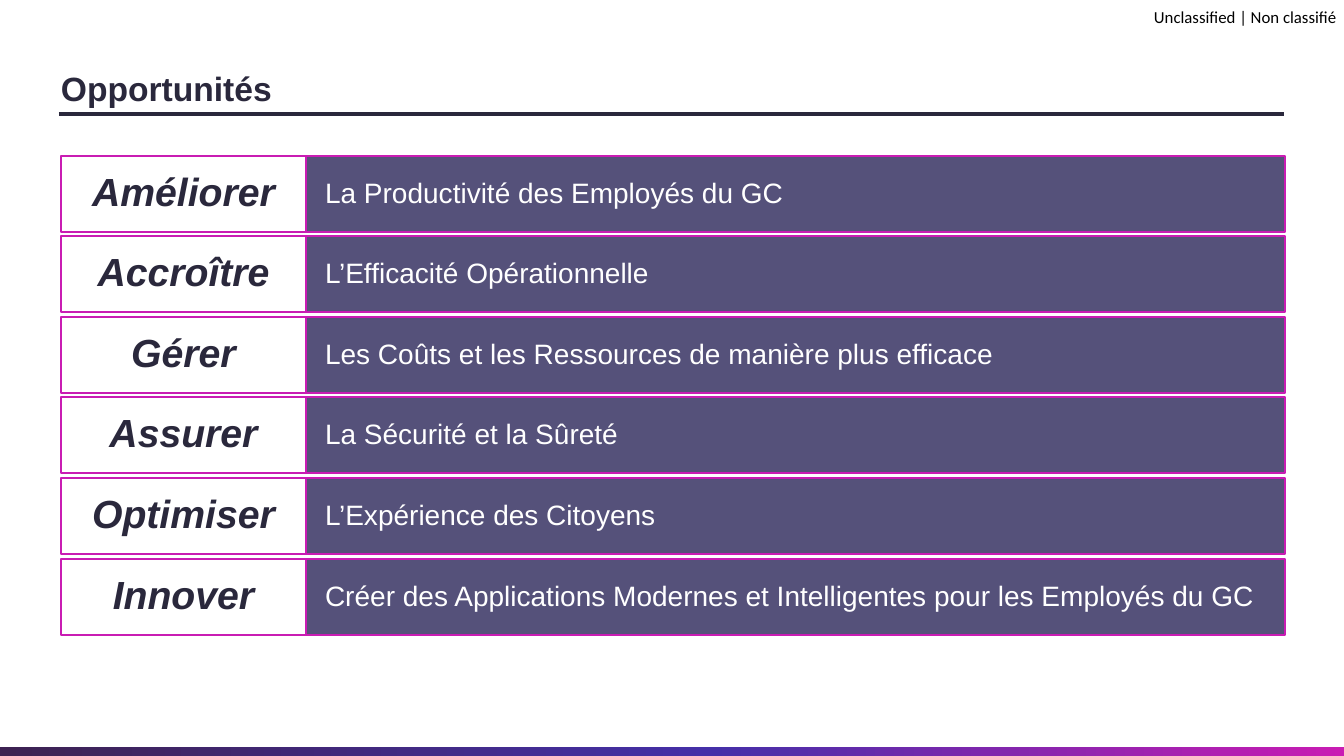
"""Build the "Opportunités" slide: six verbs, each paired with its objective."""
import copy

from lxml import etree
from pptx import Presentation, util as u
from pptx.dml.color import RGBColor
from pptx.enum import shapes, text

SCALE = 914400 / 100.8
COLORS = {"ink": "2A283C", "slate": "55517A", "pink": "C91CB3", "plum": "3D2252",
          "indigo": "4530A8", "white": "FFFFFF", "black": "000000"}
HEADER = {"name": "Calibri", "size": u.Pt(12)}
TITLE = {"name": "Arial", "size": u.Pt(24), "bold": True}
VERB = {"name": "Arial", "size": u.Pt(28), "bold": True, "italic": True}
GOAL = {"name": "Arial", "size": u.Pt(20)}
ROWS = [
    ("Améliorer", "La Productivité des Employés du GC"),
    ("Accroître", "L’Efficacité Opérationnelle"),
    ("Gérer", "Les Coûts et les Ressources de manière plus efficace"),
    ("Assurer", "La Sécurité et la Sûreté"),
    ("Optimiser", "L’Expérience des Citoyens"),
    ("Innover", "Créer des Applications Modernes et Intelligentes pour les Employés du GC"),
]


def px(*values):
    return [u.Emu(round(v * SCALE)) for v in values]


def write(sp, words, fmt, color, inset=(0, 0), spacing=1.0, wrap=True,
          anchor=text.MSO_ANCHOR.MIDDLE, align=text.PP_ALIGN.LEFT):
    tf = sp.text_frame
    tf.word_wrap, tf.vertical_anchor = wrap, anchor
    tf.margin_left, tf.margin_top = tf.margin_right, tf.margin_bottom = px(*inset)
    p = tf.paragraphs[0]
    p.alignment, p.line_spacing = align, spacing
    r = p.add_run()
    r.text = words
    for key, value in fmt.items():
        setattr(r.font, key, value)
    r.font.color.rgb = RGBColor.from_string(COLORS[color])


prs = Presentation()
prs.slide_width, prs.slide_height = px(1344, 756)
s = prs.slides.add_slide(prs.slide_layouts[6])

bar = s.shapes.add_shape(shapes.MSO_SHAPE.RECTANGLE, *px(-1, 747, 1346, 9))
bar.shadow.inherit = False
bar.line.fill.background()
bar.fill.gradient()
bar.fill.gradient_angle = 0
gs = bar.fill._xPr.find(".//{*}gs")
gs.addnext(copy.deepcopy(gs))
for stop, (pos, color) in zip(bar.fill.gradient_stops,
                              [(0, "plum"), (0.53, "indigo"), (1, "pink")]):
    stop.position = pos
    stop.color.rgb = RGBColor.from_string(COLORS[color])

header = s.shapes.add_textbox(*px(1154, 7, 187, 20))
write(header, "Unclassified | Non classifié", HEADER, "black",
      wrap=False, anchor=text.MSO_ANCHOR.TOP)

rule = s.shapes.add_connector(shapes.MSO_CONNECTOR.STRAIGHT, *px(59, 114, 1284, 114))
rule.line.color.rgb = RGBColor.from_string(COLORS["ink"])
rule.line.width = u.Pt(2.25)
etree.SubElement(rule._element.spPr,
                 "{http://schemas.openxmlformats.org/drawingml/2006/main}effectLst")

title = s.shapes.add_textbox(*px(61, 57, 581, 55))
write(title, "Opportunités", TITLE, "ink", spacing=1.2)

for i, (verb, goal) in enumerate(ROWS):
    top = 156 + i * 403 // 5
    for x, w, fill, words, fmt, color, inset, align in [
        (306, 979, "slate", goal, GOAL, "white", (19, 19), text.PP_ALIGN.LEFT),
        (61, 245, "white", verb, VERB, "ink", (13, 7), text.PP_ALIGN.CENTER),
    ]:
        sp = s.shapes.add_shape(shapes.MSO_SHAPE.RECTANGLE, *px(x, top, w, 76))
        sp.shadow.inherit = False
        sp.fill.solid()
        sp.fill.fore_color.rgb = RGBColor.from_string(COLORS[fill])
        sp.line.color.rgb = RGBColor.from_string(COLORS["pink"])
        sp.line.width = u.Pt(1)
        write(sp, words, fmt, color, inset, 0.9, align=align)

prs.save("out.pptx")
